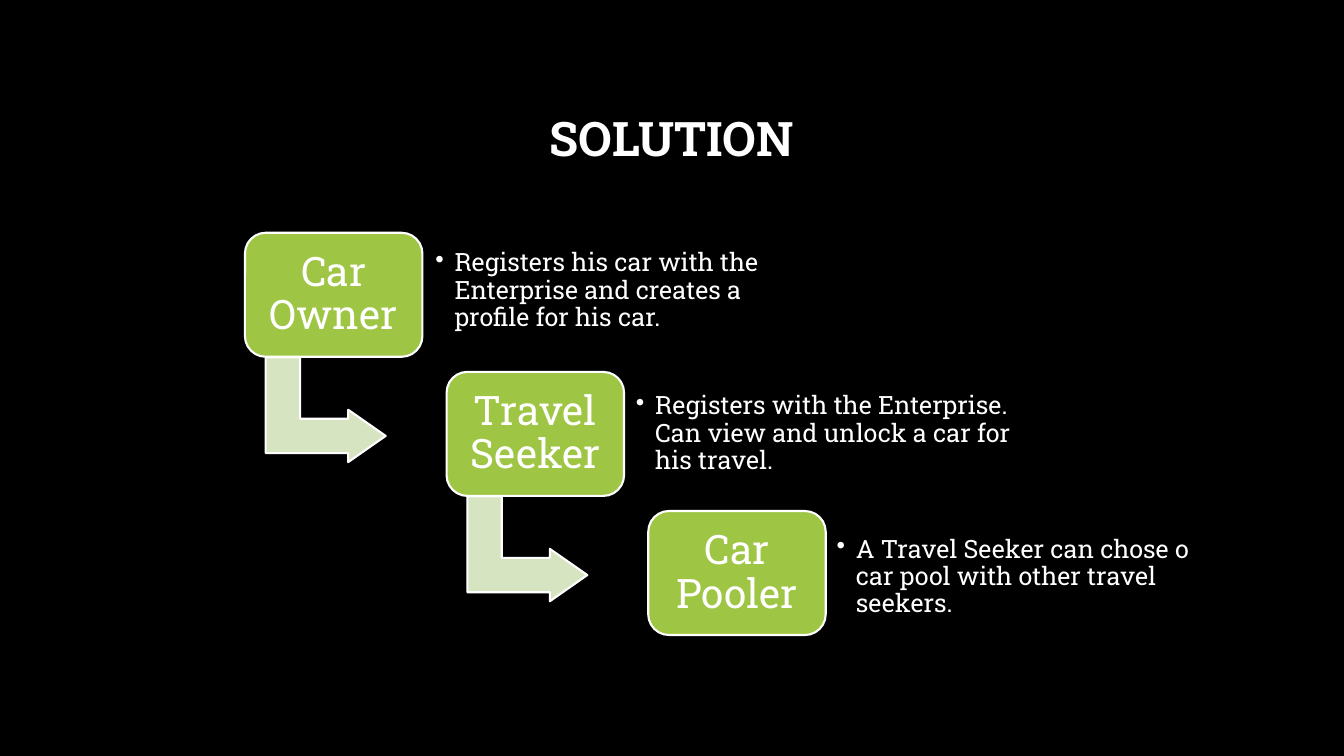
"""Build the SOLUTION slide: a staircase of three roles with descriptions."""
from lxml import etree
from pptx import Presentation
from pptx.dml.color import RGBColor
from pptx.enum import shapes, text
from pptx.oxml import ns
from pptx.util import Inches, Pt

BLACK = RGBColor(0x00, 0x00, 0x00)
WHITE = RGBColor(0xFF, 0xFF, 0xFF)
GREEN = RGBColor(0x9E, 0xC5, 0x44)
PALE_GREEN = RGBColor(0xD6, 0xE4, 0xC1)

ROLES = [
    ("Car Owner", "Registers his car with the Enterprise and creates a profile for his car.", 2.39, 3.55),
    ("Travel Seeker", "Registers with the Enterprise. Can view and unlock a car for his travel.", 3.81, 4.27),
    ("Car Pooler", "A Travel Seeker can chose o car pool with other travel seekers.", 5.23, 4.12),
]


class Staircase:
    font = "Roboto Slab"

    def __init__(self, slide):
        self.slide = slide
        slide.background.fill.solid()
        slide.background.fill.fore_color.rgb = BLACK

    def label(self, frame, wording, size, inset=None, align=text.PP_ALIGN.CENTER, bold=False):
        frame.word_wrap = True
        frame.vertical_anchor = text.MSO_ANCHOR.MIDDLE
        if inset is not None:
            frame.margin_left = frame.margin_right = Inches(inset)
            frame.margin_top = frame.margin_bottom = Inches(inset)
        paragraph = frame.paragraphs[0]
        paragraph.text = wording
        paragraph.alignment = align
        paragraph.line_spacing = 0.9
        paragraph.font.name = self.font
        paragraph.font.size = Pt(size)
        paragraph.font.bold = bold
        paragraph.font.color.rgb = WHITE
        return paragraph

    def shape(self, kind, place, adjustments, color):
        shape = self.slide.shapes.add_shape(kind, *map(Inches, place))
        for index, value in enumerate(adjustments):
            shape.adjustments[index] = value
        shape.shadow.inherit = False
        shape.fill.solid()
        shape.fill.fore_color.rgb = color
        shape.line.color.rgb = WHITE
        shape.line.width = Pt(1.5)
        return shape

    def title(self, wording, place):
        box = self.slide.shapes.add_textbox(*map(Inches, place))
        self.label(box.text_frame, wording, 34, bold=True)

    def role(self, wording, place):
        box = self.shape(shapes.MSO_SHAPE.ROUNDED_RECTANGLE, place, [0.167], GREEN)
        self.label(box.text_frame, wording, 29, 0.12)

    def arrow(self, place):
        arrow = self.shape(shapes.MSO_SHAPE.BENT_UP_ARROW, place, [0.328, 0.25, 0.358], PALE_GREEN)
        arrow.rotation = 90

    def bullet(self, wording, place):
        box = self.slide.shapes.add_textbox(*map(Inches, place))
        paragraph = self.label(box.text_frame, wording, 18, 0.1, text.PP_ALIGN.LEFT)
        properties = paragraph._p.get_or_add_pPr()
        properties.set("marL", str(Inches(0.19)))
        properties.set("indent", str(-Inches(0.19)))
        mark = etree.Element(ns.qn("a:buChar"), char="•")
        properties.find(ns.qn("a:defRPr")).addprevious(mark)


def main():
    deck = Presentation()
    deck.slide_width, deck.slide_height = Inches(13.33), Inches(7.5)
    stairs = Staircase(deck.slides.add_slide(deck.slide_layouts[6]))
    stairs.title("SOLUTION", (1, 0.67, 11.32, 1.45))
    for step, (role, duty, duty_top, duty_width) in enumerate(ROLES):
        left, top = 2.43 + 2 * step, 2.31 + 1.38 * step
        if step < len(ROLES) - 1:
            stairs.arrow((left + 0.28, top + 1.16, 1.04, 1.19))
        stairs.role(role, (left, top, 1.76, 1.23))
        stairs.bullet(duty, (4.22 + 1.99 * step, duty_top, duty_width, 0.99))
    deck.save("out.pptx")


if __name__ == "__main__":
    main()
